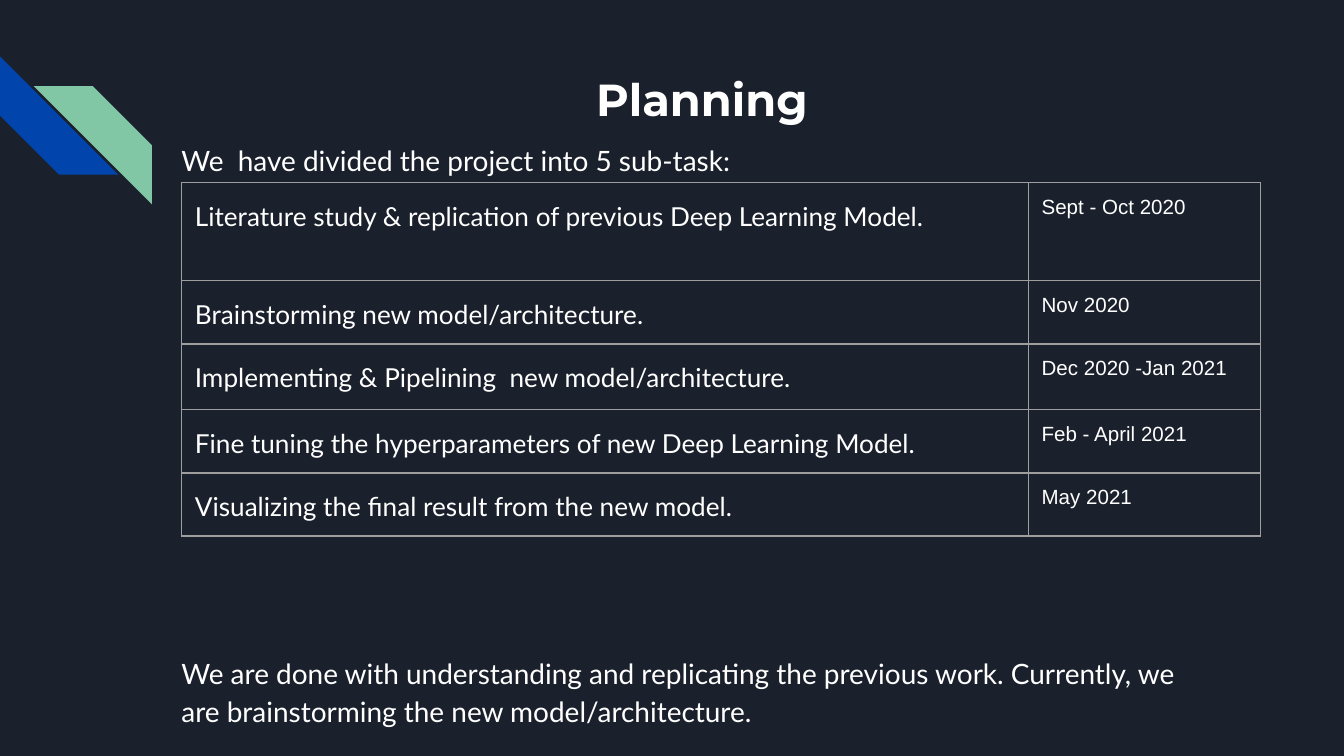
import pptx
import pptx.dml.color
import pptx.enum.shapes
import pptx.enum.text
import pptx.oxml
import pptx.oxml.ns
import pptx.util
from pptx.util import Inches, Pt

RGBColor = pptx.dml.color.RGBColor
NAVY = RGBColor(0x1B, 0x21, 0x2C)
BLUE = RGBColor(0x01, 0x45, 0xAC)
GREEN = RGBColor(0x82, 0xC7, 0xA5)
WHITE = RGBColor(0xFF, 0xFF, 0xFF)
GREY = RGBColor(0x9E, 0x9E, 0x9E)

SLIDE_WIDTH = 10
SLIDE_HEIGHT = SLIDE_WIDTH * 9 / 16
SUBTASKS = [
    ("Literature study & replication of previous Deep Learning Model.", "Sept - Oct 2020"),
    ("Brainstorming new model/architecture.", "Nov 2020"),
    ("Implementing & Pipelining  new model/architecture.", "Dec 2020 -Jan 2021"),
    ("Fine tuning the hyperparameters of new Deep Learning Model.", "Feb - April 2021"),
    ("Visualizing the final result from the new model.", "May 2021"),
]
ROW_HEIGHTS = [0.73, 0.47, 0.49, 0.47, 0.47]
COLUMN_WIDTHS = [6.3, 1.73]


def add_run(paragraph, text, font_name, size, bold=False):
    """Append one white run to a paragraph."""
    run = paragraph.add_run()
    run.text = text
    run.font.name = font_name
    run.font.size = Pt(size)
    run.font.bold = bold
    run.font.color.rgb = WHITE


def place(placeholder, left, top, width, height):
    """Move a placeholder and give its text frame even margins."""
    placeholder.left, placeholder.top = Inches(left), Inches(top)
    placeholder.width, placeholder.height = Inches(width), Inches(height)
    frame = placeholder.text_frame
    frame.margin_left = frame.margin_right = Inches(0.1)
    frame.margin_top = frame.margin_bottom = Inches(0.1)
    frame.vertical_anchor = pptx.enum.text.MSO_ANCHOR.TOP
    frame.auto_size = pptx.enum.text.MSO_AUTO_SIZE.NONE
    frame.word_wrap = True
    return frame


def add_stripes(slide, left, top):
    """Draw the pair of diagonal stripes at the left edge."""
    stripes = slide.shapes.add_group_shape()
    for dx, dy, color in [(0, 0, BLUE), (0.25, 0.22, GREEN)]:
        stripe = stripes.shapes.add_shape(
            pptx.enum.shapes.MSO_SHAPE.DIAGONAL_STRIPE,
            Inches(left + dx), Inches(top + dy), Inches(0.88), Inches(0.88))
        stripe.adjustments[0] = 0.5
        stripe.shadow.inherit = False
        stripe.fill.solid()
        stripe.fill.fore_color.rgb = color
        stripe.line.fill.background()
        if color == BLUE:
            stripe.rotation = 270
        else:
            stripe._element.spPr.xfrm.set("flipH", "1")


def fill_title(slide, left, top, width, height):
    """Write the centred slide title."""
    heading = place(slide.shapes.title, left, top, width, height).paragraphs[0]
    heading.alignment = pptx.enum.text.PP_ALIGN.CENTER
    add_run(heading, "Planning ", "Montserrat", 24, bold=True)


def fill_body(slide, left, top, width, height):
    """Write the sentences above and below the schedule."""
    frame = place(slide.placeholders[1], left, top, width, height)
    intro, status = frame.paragraphs[0], frame.add_paragraph()
    for paragraph, gap, text in [
        (intro, 0, "We  have divided the project into 5 sub-task:"),
        (status, 254, "We are done with understanding and replicating the previous work. "
                      "Currently, we are brainstorming the new model/architecture."),
    ]:
        paragraph.line_spacing = 1.15
        paragraph.space_before = Pt(gap)
        properties = paragraph._p.get_or_add_pPr()
        properties.set("marL", "0")
        properties.set("indent", "0")
        properties.append(pptx.oxml.parse_xml(
            f"<a:buNone {pptx.oxml.ns.nsdecls('a')}/>"))
        add_run(paragraph, text, "Lato", 15)


def set_borders(cell):
    """Give a cell thin grey lines on all four sides."""
    properties = cell._tc.get_or_add_tcPr()
    for side in ("lnL", "lnR", "lnT", "lnB"):
        properties.append(pptx.oxml.parse_xml(
            f'<a:{side} {pptx.oxml.ns.nsdecls("a")} w="{Pt(0.75)}">'
            f'<a:solidFill><a:srgbClr val="{GREY}"/></a:solidFill></a:{side}>'))


def add_schedule(slide, left, top):
    """Build the table of sub-tasks and their dates."""
    schedule = slide.shapes.add_table(
        len(SUBTASKS), len(COLUMN_WIDTHS), Inches(left), Inches(top),
        Inches(sum(COLUMN_WIDTHS)), Inches(sum(ROW_HEIGHTS))).table
    schedule.first_row = schedule.horz_banding = False
    for column, width in zip(schedule.columns, COLUMN_WIDTHS):
        column.width = Inches(width)
    for row, height, (task, dates) in zip(schedule.rows, ROW_HEIGHTS, SUBTASKS):
        row.height = Inches(height)
        task_cell, dates_cell = row.cells
        for cell in (task_cell, dates_cell):
            cell.margin_left = cell.margin_right = Inches(0.1)
            cell.margin_top = cell.margin_bottom = Inches(0.1)
            set_borders(cell)
            cell.fill.background()
        task_line = task_cell.text_frame.paragraphs[0]
        task_line.line_spacing = 1.15
        task_line.space_after = Pt(16)
        add_run(task_line, task, "Lato", 14)
        add_run(dates_cell.text_frame.paragraphs[0], dates, "Arial", 11)


def main():
    """Build and save the planning slide."""
    deck = pptx.Presentation()
    deck.slide_width, deck.slide_height = Inches(SLIDE_WIDTH), Inches(SLIDE_HEIGHT)
    slide = deck.slides.add_slide(deck.slide_layouts[1])
    slide.background.fill.solid()
    slide.background.fill.fore_color.rgb = NAVY
    add_stripes(slide, 0, 0.42)
    fill_title(slide, 1.42, 0.43, 7.7, 1)
    fill_body(slide, 1.25, 0.93, 7.7, 3.77)
    add_schedule(slide, 1.35, 1.36)
    deck.save("out.pptx")


if __name__ == "__main__":
    main()
